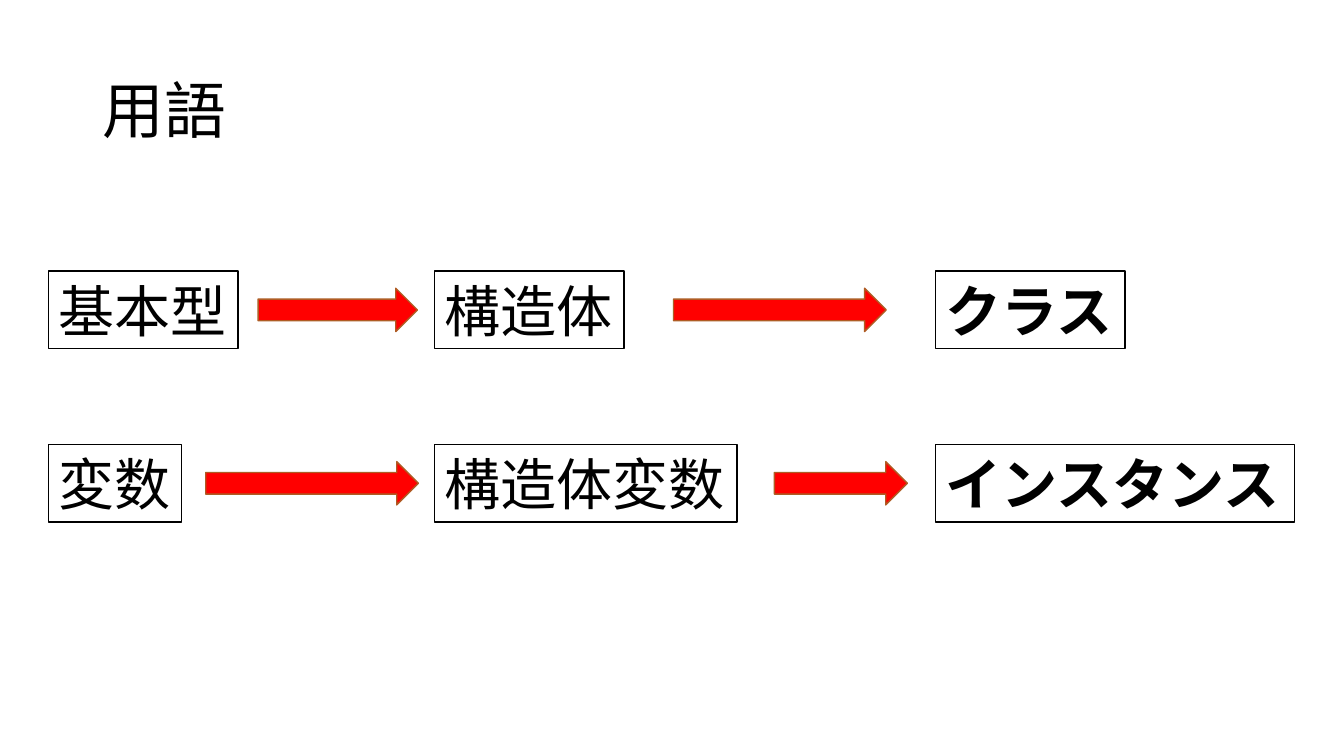
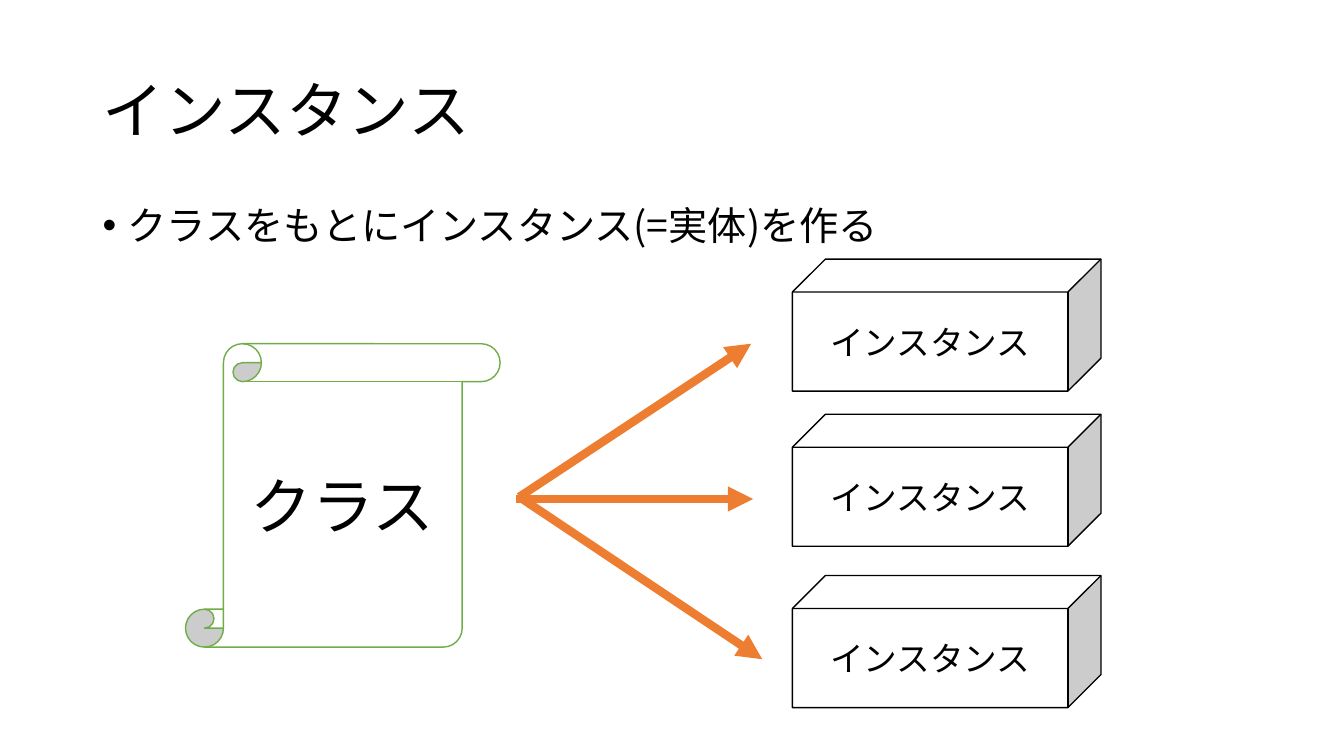
from dataclasses import dataclass

from lxml.etree import SubElement
from pptx import Presentation
from pptx.dml.color import RGBColor
from pptx.enum.shapes import MSO_CONNECTOR, MSO_SHAPE
from pptx.enum.text import MSO_ANCHOR, MSO_AUTO_SIZE, PP_ALIGN
from pptx.oxml.ns import qn
from pptx.shapes.autoshape import Shape
from pptx.slide import Slide
from pptx.util import Pt

SCALE = 9144
FONT = "Noto Sans CJK JP"
COLORS = {
    "paper": "FFFFFF",
    "ink": "000000",
    "red": "FF0000",
    "brown": "AF5C24",
    "green": "70AD47",
    "orange": "ED7D31",
}
RECT, BLOCK = MSO_SHAPE.RECTANGLE, MSO_SHAPE.RIGHT_ARROW
SCROLL, CUBE = MSO_SHAPE.VERTICAL_SCROLL, MSO_SHAPE.CUBE
LINE = MSO_CONNECTOR.STRAIGHT
TOP, MIDDLE = MSO_ANCHOR.TOP, MSO_ANCHOR.MIDDLE
LEFT, CENTER = PP_ALIGN.LEFT, PP_ALIGN.CENTER
GROW = MSO_AUTO_SIZE.SHAPE_TO_FIT_TEXT

TERM_H, TERM_PAD, GLYPH = 77, 20, 56
BLOCK_H = 43


@dataclass(frozen=True)
class Box:
    left: int
    top: int
    width: int
    height: int


@dataclass(frozen=True)
class Term:
    left: int
    text: str
    bold: bool = False


@dataclass(frozen=True)
class Span:
    left: int
    width: int


@dataclass(frozen=True)
class Row:
    top: int
    terms: tuple[Term, ...]
    spans: tuple[Span, ...]


@dataclass(frozen=True)
class Ray:
    left: int
    top: int
    right: int
    end: int


TITLE = Box(92, 40, 1150, 145)
BODY = Box(92, 200, 1150, 476)
ROWS = (
    Row(269, (Term(48, "基本型"), Term(431, "構造体"), Term(928, "クラス", True)),
        (Span(256, 158), Span(668, 211))),
    Row(441, (Term(48, "変数"), Term(431, "構造体変数"), Term(928, "インスタンス", True)),
        (Span(204, 211), Span(768, 132))),
)
CUBE_TOPS = (257, 411, 571)
RAYS = (
    Ray(515, 493, 745, 341),
    Ray(512, 495, 747, 495),
    Ray(515, 493, 756, 654),
)


def px(*sizes: int) -> list[int]:
    return [size * SCALE for size in sizes]


def place(box: Box) -> list[int]:
    return px(box.left, box.top, box.width, box.height)


def color(name: str) -> RGBColor:
    return RGBColor.from_string(COLORS[name])


def write(shape: Shape, text: str, size: int, bold: bool = False,
          align: PP_ALIGN = LEFT, anchor: MSO_ANCHOR = MIDDLE,
          wrap: bool = True) -> None:
    frame = shape.text_frame
    frame.text = text
    frame.word_wrap = wrap
    frame.vertical_anchor = anchor
    para = frame.paragraphs[0]
    para.alignment = align
    font = para.runs[0].font
    font.size, font.bold, font.name = Pt(size), bold, FONT
    font.color.rgb = color("ink")
    SubElement(font._element, qn("a:ea")).set("typeface", FONT)


def draw(slide: Slide, kind: MSO_SHAPE, box: Box, fill: str, line: str) -> Shape:
    shape = slide.shapes.add_shape(kind, *place(box))
    shape.shadow.inherit = False
    shape.fill.solid()
    shape.fill.fore_color.rgb = color(fill)
    shape.line.color.rgb = color(line)
    shape.line.width = Pt(1)
    return shape


def label(slide: Slide, box: Box, text: str, size: int, anchor: MSO_ANCHOR) -> Shape:
    shape = slide.shapes.add_textbox(*place(box))
    write(shape, text, size, anchor=anchor)
    shape.text_frame.paragraphs[0].line_spacing = 0.9
    return shape


def start(deck: Presentation, title: str) -> Slide:
    slide = deck.slides.add_slide(deck.slide_layouts[6])
    label(slide, TITLE, title, 44, MIDDLE)
    return slide


def bullet(shape: Shape) -> None:
    props = shape.text_frame.paragraphs[0]._p.get_or_add_pPr()
    indent = 25 * SCALE
    props.set("marL", str(indent))
    props.set("indent", str(-indent))
    SubElement(props, qn("a:buFont")).set("typeface", "Arial")
    SubElement(props, qn("a:buChar")).set("char", "•")


def chain(slide: Slide, row: Row) -> None:
    for term in row.terms:
        width = TERM_PAD + GLYPH * len(term.text)
        box = Box(term.left, row.top, width, TERM_H)
        shape = draw(slide, RECT, box, "paper", "ink")
        write(shape, term.text, 40, term.bold, anchor=TOP, wrap=False)
        shape.text_frame.auto_size = GROW
    top = row.top + (TERM_H - BLOCK_H) // 2
    for span in row.spans:
        draw(slide, BLOCK, Box(span.left, top, span.width, BLOCK_H), "red", "brown")


def point(slide: Slide, ray: Ray) -> None:
    line = slide.shapes.add_connector(LINE, *px(ray.left, ray.top, ray.right, ray.end))
    line.line.color.rgb = color("orange")
    line.line.width = Pt(6)
    SubElement(line.line._get_or_add_ln(), qn("a:tailEnd")).set("type", "triangle")
    SubElement(line._element.spPr, qn("a:effectLst"))


def terms(deck: Presentation) -> None:
    slide = start(deck, "用語")
    for row in ROWS:
        chain(slide, row)


def copies(deck: Presentation) -> None:
    slide = start(deck, "インスタンス")
    bullet(label(slide, BODY, "クラスをもとにインスタンス(=実体)を作る", 28, TOP))
    scroll = draw(slide, SCROLL, Box(184, 341, 312, 301), "paper", "green")
    write(scroll, "クラス", 44, align=CENTER)
    for top in CUBE_TOPS:
        cube = draw(slide, CUBE, Box(786, top, 306, 131), "paper", "ink")
        write(cube, "インスタンス", 24, align=CENTER)
    for ray in RAYS:
        point(slide, ray)


def main() -> None:
    deck = Presentation()
    deck.slide_width, deck.slide_height = px(1333, 750)
    terms(deck)
    copies(deck)
    deck.save("out.pptx")


if __name__ == "__main__":
    main()
